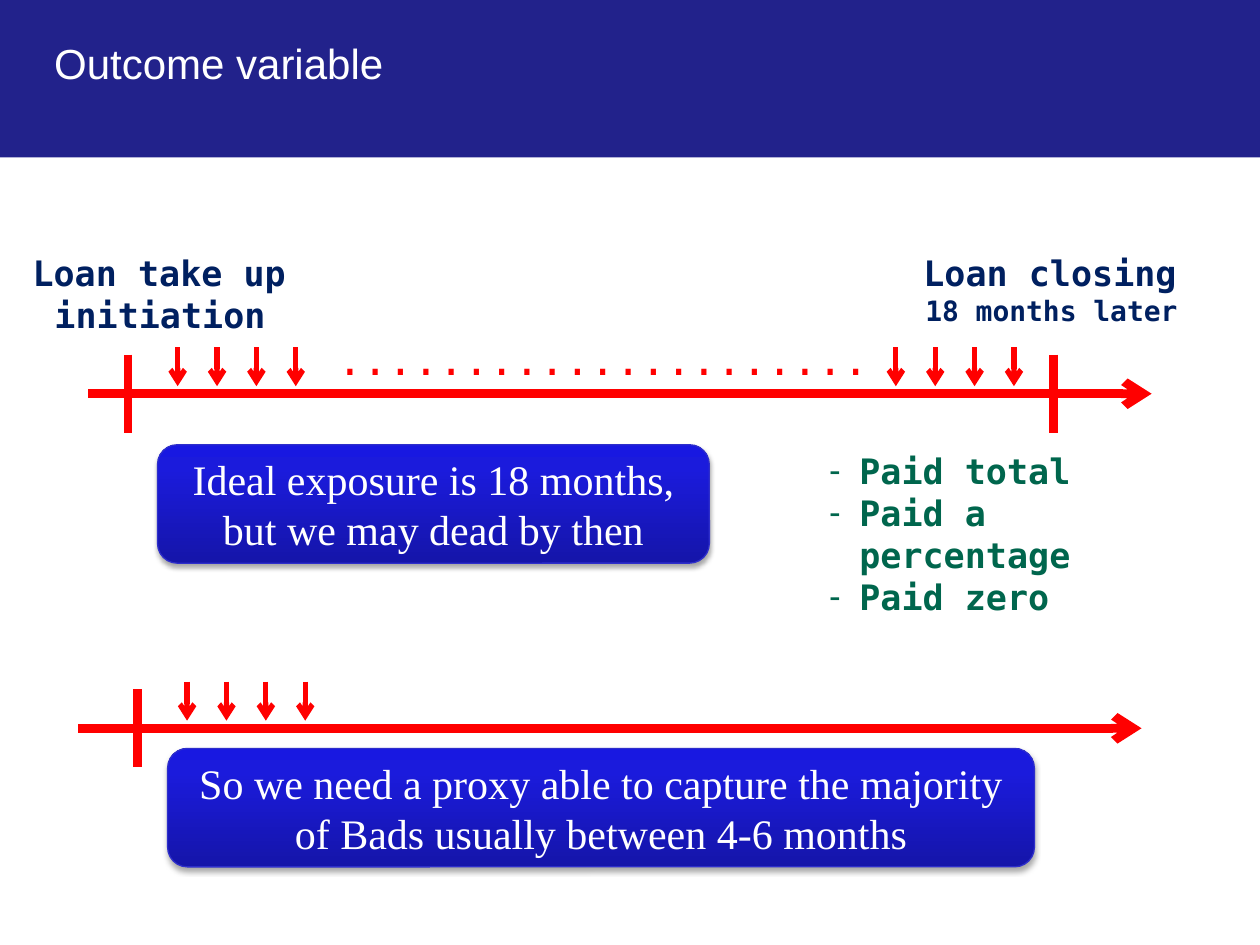
import pptx
import pptx.util
import pptx.dml.color
import pptx.oxml
import pptx.enum.shapes
import pptx.enum.text
from pptx.util import Inches

theme = {
    "band": "22228B", "white": "FFFFFF", "red": "FF0000", "navy": "002060",
    "green": "00664D", "edge": "2E2ECB",
    "stops": [(0, "1515A9"), (80, "1B1BDC"), (100, "1818E1")],
    "sans": "Arial", "mono": "DejaVu Sans Mono", "serif": "Times New Roman",
    "big": 24, "mid": 20, "small": 16, "axis": 5, "tick": 3,
}
NS = 'xmlns:a="http://schemas.openxmlformats.org/drawingml/2006/main"'
align = pptx.enum.text.PP_ALIGN
anchor = pptx.enum.text.MSO_ANCHOR
kinds = pptx.enum.shapes.MSO_SHAPE
rgb = pptx.dml.color.RGBColor.from_string


def write(shape, lines, face, hue, bold=False, wrap=True, mid=False, dash=False):
    """Fill a shape with (text, size, alignment) lines."""
    frame = shape.text_frame
    frame.word_wrap = wrap
    frame.auto_size = pptx.enum.text.MSO_AUTO_SIZE.NONE
    frame.vertical_anchor = anchor.MIDDLE if mid else anchor.TOP
    for i, (text, size, side) in enumerate(lines):
        para = frame.add_paragraph() if i else frame.paragraphs[0]
        para.text = text
        para.alignment = side
        para.space_before = pptx.util.Pt(0)
        if dash:
            props = para._p.get_or_add_pPr()
            props.set("marL", str(Inches(0.24)))
            props.set("indent", str(Inches(-0.24)))
            for xml in (f'<a:buFont {NS} typeface="{theme["sans"]}"/>',
                        f'<a:buChar {NS} char="-"/>'):
                props.append(pptx.oxml.parse_xml(xml))
        look = {"name": face, "size": pptx.util.Pt(size), "bold": bold}
        for key, value in look.items():
            setattr(para.runs[0].font, key, value)
        para.runs[0].font.color.rgb = rgb(theme[hue])


def draw(x1, y1, x2, y2, width, head=False):
    """Add a red line, with an arrowhead at its end if asked."""
    line = slide.shapes.add_connector(
        pptx.enum.shapes.MSO_CONNECTOR.STRAIGHT,
        Inches(x1), Inches(y1), Inches(x2), Inches(y2))
    line.line.color.rgb = rgb(theme["red"])
    line.line.width = pptx.util.Pt(theme[width])
    if head:
        line.line._get_or_add_ln().append(
            pptx.oxml.parse_xml(f'<a:tailEnd {NS} type="arrow"/>'))
    line._element.spPr.append(pptx.oxml.parse_xml(f"<a:effectLst {NS}/>"))


deck = pptx.Presentation()
deck.slide_width, deck.slide_height = Inches(10), Inches(7.5)
slide = deck.slides.add_slide(deck.slide_layouts[1])

# Header band, behind the title
band = slide.shapes.add_shape(kinds.RECTANGLE, 0, 0, Inches(10), Inches(1.25))
band.shadow.inherit = False
band.fill.solid()
band.fill.fore_color.rgb = rgb(theme["band"])
band.line.fill.background()
slide.shapes._spTree.insert(2, band._element)

# Title and list of outcomes
title, body = slide.shapes.title, slide.placeholders[1]
for shape, spot in ((title, (0.33, 0.25, 7.67, 0.67)),
                    (body, (6.48, 3.52, 3.23, 1.44))):
    for key, value in zip(("left", "top", "width", "height"), spot):
        setattr(shape, key, Inches(value))
write(title, [("Outcome variable", theme["big"], align.LEFT)],
      theme["sans"], "white")
outcomes = ("Paid total", "Paid a percentage", "Paid zero")
write(body, [(text, theme["mid"], align.LEFT) for text in outcomes],
      theme["mono"], "green", bold=True, dash=True)

# Labels and dots above the first time line
labels = [
    ((0.16, 1.95, 2.22, 0.77), "navy", True,
     [("Loan take up", theme["mid"], align.LEFT),
      ("initiation", theme["mid"], align.CENTER)]),
    ((7.23, 1.95, 2.23, 0.71), "navy", True,
     [("Loan closing", theme["mid"], align.LEFT),
      ("18 months later", theme["small"], align.CENTER)]),
    ((2.58, 2.6, 4.47, 0.5), "red", False,
     [("." * 21, theme["big"], align.LEFT)]),
]
for spot, hue, bold, lines in labels:
    box = slide.shapes.add_textbox(*map(Inches, spot))
    write(box, lines, theme["mono"], hue, bold=bold, wrap=False)

# Time lines: start, end, height, bars, first arrow of each group of four
tracks = [
    (0.7, 9.14, 3.125, (1.015, 8.36), (1.41, 7.11)),
    (0.62, 9.06, 5.78, (1.09,), (1.485,)),
]
for start, end, y, bars, groups in tracks:
    draw(start, y, end, y, "axis", head=True)
    for x in bars:
        draw(x, y - 0.31, x, y + 0.31, "axis")
    for first in groups:
        for i in range(4):
            x = first + i * 0.3125
            draw(x, y - 0.37, x, y - 0.06, "tick", head=True)

# Remarks
stops = "".join(f'<a:gs pos="{at * 1000}"><a:srgbClr val="{hue}"/></a:gs>'
                for at, hue in theme["stops"])
blend = (f'<a:gradFill {NS} rotWithShape="1"><a:gsLst>{stops}</a:gsLst>'
         '<a:lin ang="16200000" scaled="0"/></a:gradFill>')
shade = (f'<a:effectLst {NS}><a:outerShdw blurRad="{pptx.util.Pt(3.1)}" '
         f'dist="{pptx.util.Pt(1.8)}" dir="5400000" rotWithShape="0">'
         '<a:srgbClr val="000000"><a:alpha val="35000"/></a:srgbClr>'
         '</a:outerShdw></a:effectLst>')
notes = [
    ((1.25, 3.53, 4.38, 0.94),
     "Ideal exposure is 18 months, but we may dead by then"),
    ((1.33, 5.94, 6.88, 0.94),
     "So we need a proxy able to capture the majority of Bads "
     "usually between 4-6 months"),
]
for spot, text in notes:
    card = slide.shapes.add_shape(kinds.ROUNDED_RECTANGLE, *map(Inches, spot))
    card.line.color.rgb = rgb(theme["edge"])
    card.line.width = pptx.util.Pt(0.75)
    props = card._element.spPr
    props.insert(2, pptx.oxml.parse_xml(blend))
    props.append(pptx.oxml.parse_xml(shade))
    write(card, [(text, theme["big"], align.CENTER)],
          theme["serif"], "white", mid=True)

deck.save("out.pptx")
